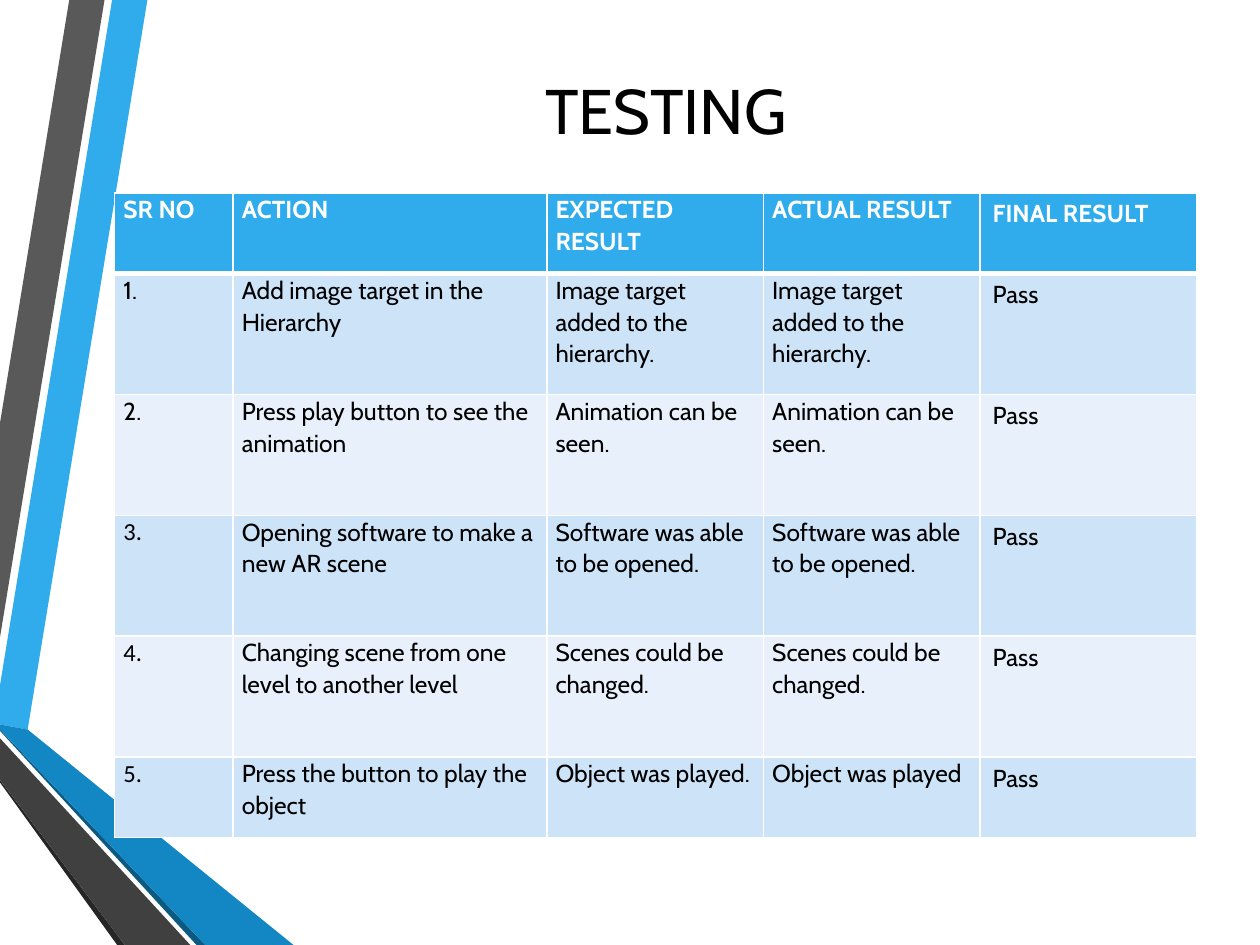
from dataclasses import dataclass

from lxml.etree import SubElement
from pptx import Presentation
from pptx.dml.color import RGBColor
from pptx.enum.text import MSO_ANCHOR, PP_ALIGN
from pptx.oxml.ns import qn
from pptx.util import Inches, Pt


@dataclass(frozen=True)
class Theme:
    font: str = "Cabin"
    digit: str = "Calibri"
    title: int = 36
    body: int = 14
    black: str = "000000"
    white: str = "FFFFFF"
    blue: str = "30ACEC"
    deep: str = "1287C3"
    navy: str = "0C5A82"
    gray: str = "595959"
    dark: str = "404040"
    coal: str = "262626"
    odd: str = "CDE3F8"
    even: str = "E8F1FB"


theme = Theme()


def paint(fill, color):
    fill.solid()
    fill.fore_color.rgb = RGBColor.from_string(color)


def edge(cell, side, width):
    props = cell._tc.get_or_add_tcPr()
    line = SubElement(props, qn(f"a:ln{side}"), w=str(Pt(width)))
    solid = SubElement(line, qn("a:solidFill"))
    SubElement(solid, qn("a:srgbClr"), val=theme.white)


deck = Presentation()
deck.slide_width, deck.slide_height = Inches(10), Inches(7.5)
slide = deck.slides.add_slide(deck.slide_layouts[5])
paint(slide.background.fill, theme.white)

# Ribbons along the left edge, back to front
ribbons = [
    (theme.blue, [(0, 5.44), (0, 5.75), (0.22, 5.79), (1.17, 0), (0.89, 0)]),
    (theme.gray, [(0.83, 0), (0.55, 0), (0, 3.36), (0, 5.06)]),
    (theme.coal, [(0, 6.19), (0, 6.21), (0.93, 7.5), (0.99, 7.5)]),
    (theme.navy, [(0, 5.79), (0, 5.8), (1.56, 7.5), (1.63, 7.5)]),
    (theme.deep, [(0, 5.79), (1.63, 7.5), (2.33, 7.5), (0.22, 5.79), (0, 5.75)]),
    (theme.dark, [(0, 6.19), (0.99, 7.5), (1.51, 7.5), (0, 5.86)]),
]
for color, spots in ribbons:
    first, *rest = [(Inches(x), Inches(y)) for x, y in spots]
    pen = slide.shapes.build_freeform(*first)
    pen.add_line_segments(rest, close=True)
    band = pen.convert_to_shape()
    band.shadow.inherit = False
    band.line.fill.background()
    paint(band.fill, color)

# Title
title = slide.shapes.title
title.left, title.top = Inches(1.07), Inches(0.5)
title.width, title.height = Inches(8.43), Inches(0.73)
title.text_frame.text = "TESTING"
title.text_frame.vertical_anchor = MSO_ANCHOR.MIDDLE
para = title.text_frame.paragraphs[0]
para.alignment = PP_ALIGN.CENTER
para.font.name, para.font.size = theme.font, Pt(theme.title)
para.font.color.rgb = RGBColor.from_string(theme.black)

# Test table
rows = [
    ("SR NO", "ACTION", "EXPECTED RESULT", "ACTUAL RESULT", "FINAL RESULT"),
    ("1.", "Add image target in the Hierarchy", "Image target added to the hierarchy.",
     "Image target added to the hierarchy.", "Pass"),
    ("2.", "Press play button to see the animation", "Animation can be seen.",
     "Animation can be seen.", "Pass"),
    ("3.", "Opening software to make a new AR scene", "Software was able to be opened.",
     "Software was able to be opened.", "Pass"),
    ("4.", "Changing scene from one level to another level", "Scenes could be changed.",
     "Scenes could be changed.", "Pass"),
    ("5.", "Press the button to play the object", "Object was played.",
     "Object was played", "Pass"),
]
widths = [0.94, 2.49, 1.72, 1.72, 1.72]
heights = [0.64] + [0.96] * 4 + [0.64]
table = slide.shapes.add_table(
    len(rows), len(widths), Inches(0.91), Inches(1.53),
    Inches(sum(widths)), Inches(sum(heights))).table
for col, width in zip(table.columns, widths):
    col.width = Inches(width)
for row, height in zip(table.rows, heights):
    row.height = Inches(height)

for r, words in enumerate(rows):
    head = r == 0
    for c, word in enumerate(words):
        cell = table.cell(r, c)
        cell.text = word
        para = cell.text_frame.paragraphs[0]

        # The last column keeps the default margins and spacing
        if c < len(widths) - 1:
            cell.margin_left = cell.margin_right = Inches(0.07)
            cell.margin_top = cell.margin_bottom = 0
            para.line_spacing = 1.07
            para.space_after = Pt(8)

        font = para.font
        font.name = theme.digit if c == 0 and r > 2 else theme.font
        font.size, font.bold = Pt(theme.body), head
        font.color.rgb = RGBColor.from_string(theme.white if head else theme.black)

        # Thick rule between the header and the first row
        for side in "LRTB":
            thick = (r, side) in [(0, "B"), (1, "T")]
            edge(cell, side, 3 if thick else 1)
        paint(cell.fill, theme.blue if head else theme.odd if r % 2 else theme.even)

deck.save("out.pptx")
